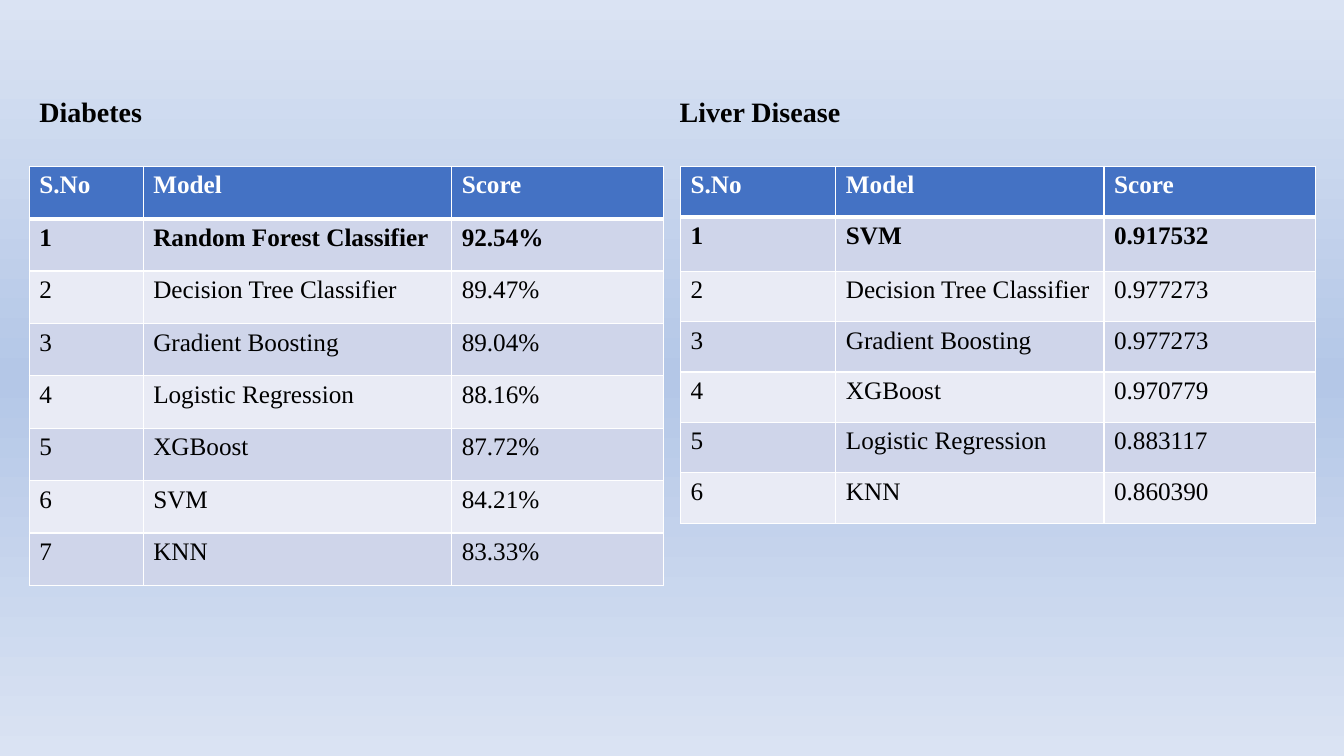
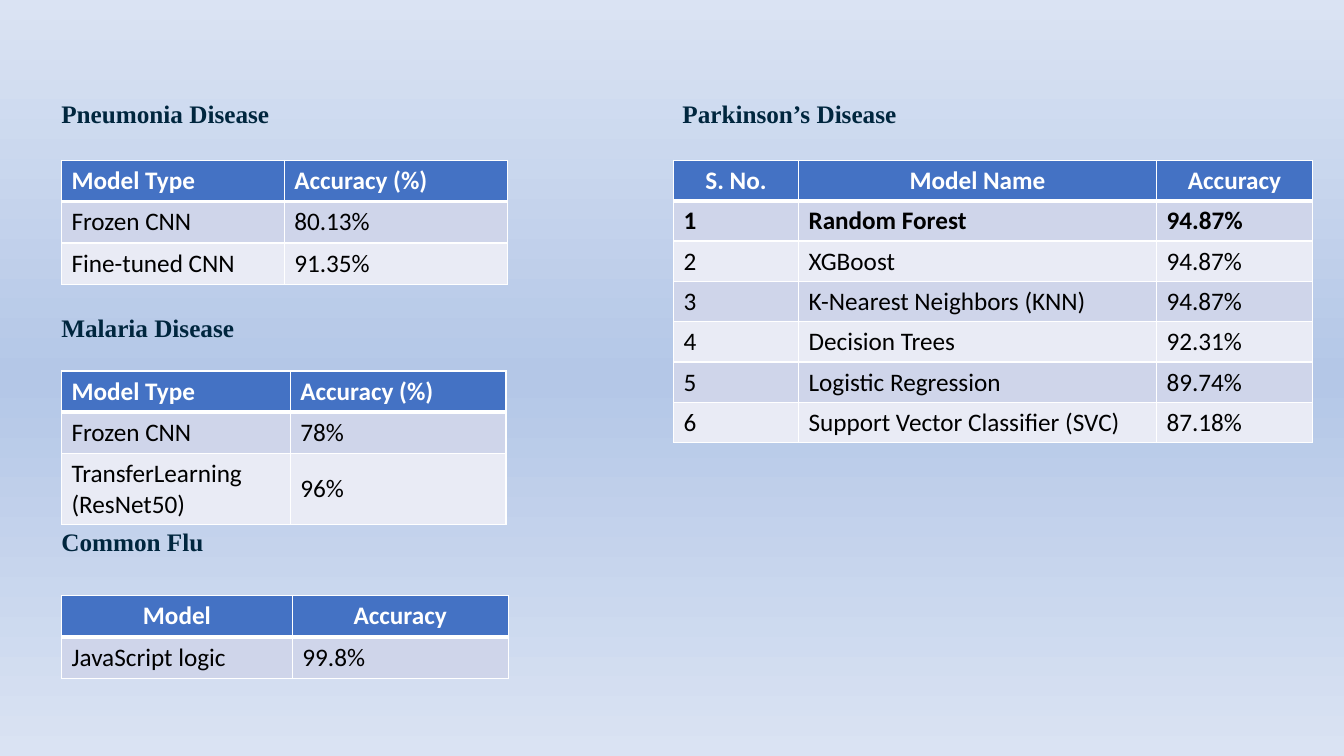
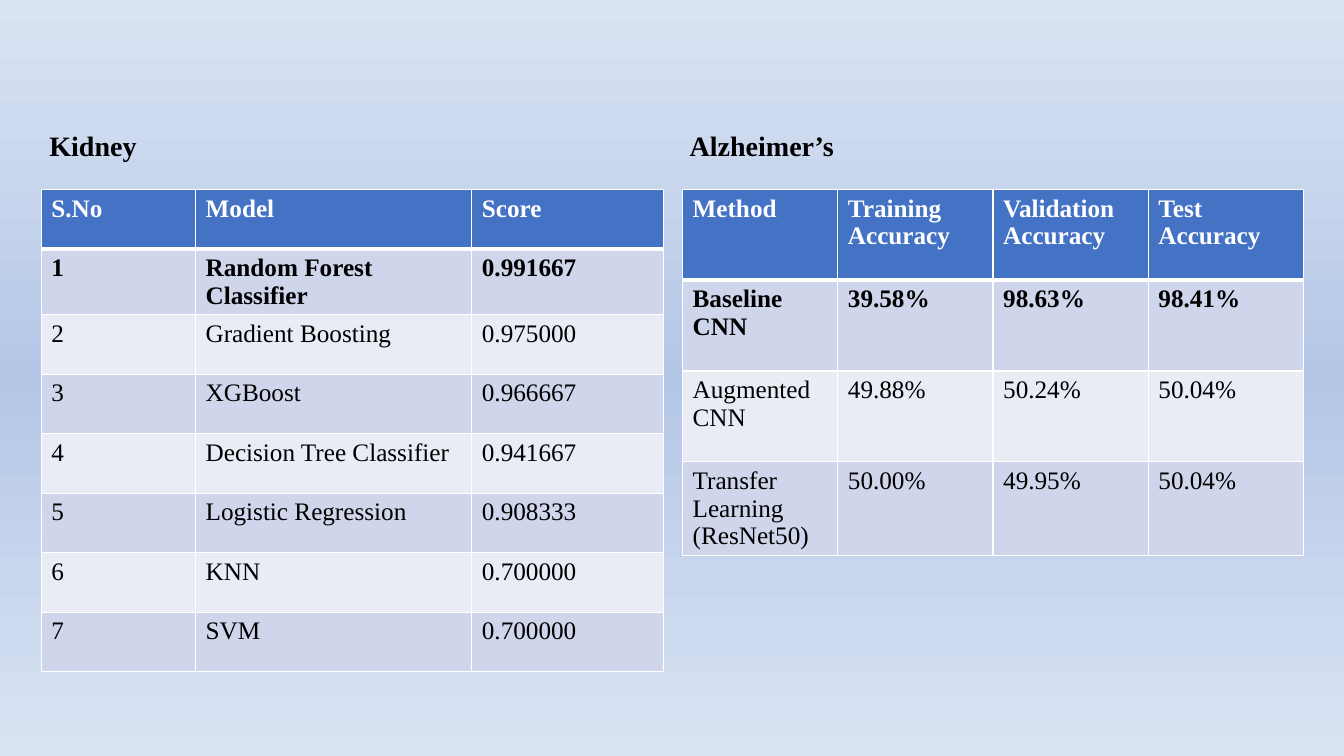
from copy import deepcopy

from lxml.etree import SubElement
from pptx import Presentation
from pptx.dml.color import RGBColor
from pptx.enum.text import MSO_ANCHOR as Anchor, MSO_AUTO_SIZE as AutoSize, PP_ALIGN as Align
from pptx.oxml.ns import qn
from pptx.util import Inches, Pt

WHITE = RGBColor(0xFF, 0xFF, 0xFF)
BLACK = RGBColor(0x00, 0x00, 0x00)
NAVY = RGBColor(0x00, 0x26, 0x3E)
HEADER_BLUE = RGBColor(0x44, 0x72, 0xC4)
BANDS = (RGBColor(0xE9, 0xEB, 0xF5), RGBColor(0xCF, 0xD5, 0xEA))
PALE_BLUE = RGBColor(0xDA, 0xE3, 0xF3)
MID_BLUE = RGBColor(0xB4, 0xC7, 0xE7)
SERIF = "Times New Roman"
SANS = "Calibri"
TITLE_ONLY, BLANK = 5, 6
THIN, THICK = 1, 3

DIABETES = [
    ("S.No", "Model", "Score"),
    ("1", "Random Forest Classifier", "92.54%"),
    ("2", "Decision Tree Classifier", "89.47%"),
    ("3", "Gradient Boosting", "89.04%"),
    ("4", "Logistic Regression", "88.16%"),
    ("5", "XGBoost", "87.72%"),
    ("6", "SVM", "84.21%"),
    ("7", "KNN", "83.33%"),
]
LIVER = [
    ("S.No", "Model", "Score"),
    ("1", "SVM", "0.917532"),
    ("2", "Decision Tree Classifier", "0.977273"),
    ("3", "Gradient Boosting", "0.977273"),
    ("4", "XGBoost", "0.970779"),
    ("5", "Logistic Regression", "0.883117"),
    ("6", "KNN", "0.860390"),
]
PNEUMONIA = [
    ("Model Type", "Accuracy (%)"),
    ("Frozen CNN", "80.13%"),
    ("Fine-tuned CNN", "91.35%"),
]
MALARIA = [
    ("Model Type", "Accuracy (%)"),
    ("Frozen CNN", "78%"),
    ("TransferLearning (ResNet50)", "96%"),
]
FLU = [("Model", "Accuracy"), ("JavaScript logic", "99.8%")]
PARKINSON = [
    ("S. No.", "Model Name", "Accuracy"),
    ("1", "Random Forest", "94.87%"),
    ("2", "XGBoost", "94.87%"),
    ("3", "K-Nearest Neighbors (KNN)", "94.87%"),
    ("4", "Decision Trees", "92.31%"),
    ("5", "Logistic Regression", "89.74%"),
    ("6", "Support Vector Classifier (SVC)", "87.18%"),
]
KIDNEY = [
    ("S.No", "Model", "Score"),
    ("1", "Random Forest Classifier", "0.991667"),
    ("2", "Gradient Boosting", "0.975000"),
    ("3", "XGBoost", "0.966667"),
    ("4", "Decision Tree Classifier", "0.941667"),
    ("5", "Logistic Regression", "0.908333"),
    ("6", "KNN", "0.700000"),
    ("7", "SVM", "0.700000"),
]
ALZHEIMER = [
    ("Method", "Training Accuracy", "Validation Accuracy", "Test Accuracy"),
    ("Baseline CNN", "39.58%", "98.63%", "98.41%"),
    ("Augmented CNN", "49.88%", "50.24%", "50.04%"),
    ("Transfer Learning (ResNet50)", "50.00%", "49.95%", "50.04%"),
]


def set_background(master):
    """Give every slide the vertical pale-mid-pale gradient."""
    fill = master.background.fill
    fill.gradient()
    fill.gradient_angle = 270
    stop_list = master.element.find(".//" + qn("a:gsLst"))
    stop_list.append(deepcopy(stop_list[0]))
    stops = zip(fill.gradient_stops, (0, 0.5, 1), (PALE_BLUE, MID_BLUE, PALE_BLUE))
    for stop, position, color in stops:
        stop.position = position
        stop.color.rgb = color


def style_font(font, name, size, color, bold):
    """Set the face, size, colour and weight of a font."""
    font.name = name
    font.size = Pt(size)
    font.color.rgb = color
    font.bold = bold


def set_borders(cell, top, bottom):
    """Draw white borders around a cell, with the given top and bottom widths."""
    properties = cell._tc.get_or_add_tcPr()
    for side, width in (("L", THIN), ("R", THIN), ("T", top), ("B", bottom)):
        line = SubElement(properties, qn("a:ln" + side), w=str(Pt(width)))
        fill = SubElement(line, qn("a:solidFill"))
        SubElement(fill, qn("a:srgbClr"), val=str(WHITE))


def add_score_table(slide, left, top, widths, heights, rows, font=SERIF,
                    anchor=Anchor.TOP, header_align=Align.LEFT, best_first=True):
    """Add a banded table whose first body row may be marked as the best."""
    frame = slide.shapes.add_table(len(rows), len(widths), Inches(left), Inches(top),
                                   Inches(sum(widths)), Inches(sum(heights)))
    table = frame.table
    for column, width in zip(table.columns, widths):
        column.width = Inches(width)
    for index, (row, height, texts) in enumerate(zip(table.rows, heights, rows)):
        row.height = Inches(height)
        header = index == 0
        for cell, text in zip(row.cells, texts):
            set_borders(cell, THICK if index == 1 else THIN, THICK if header else THIN)
            cell.fill.solid()
            cell.fill.fore_color.rgb = HEADER_BLUE if header else BANDS[index % 2]
            cell.vertical_anchor = anchor
            cell.text_frame.text = text
            paragraph = cell.text_frame.paragraphs[0]
            paragraph.alignment = header_align if header else Align.LEFT
            style_font(paragraph.runs[0].font, font, 18, WHITE if header else BLACK,
                       header or (best_first and index == 1))


def add_paired_title(slide, left, top, width, height, names):
    """Write two table names into the title, the second at a tab stop."""
    title = slide.shapes.title
    title.left, title.top = Inches(left), Inches(top)
    title.width, title.height = Inches(width), Inches(height)
    text_frame = title.text_frame
    text_frame.text = "\t".join(names)
    text_frame.auto_size = AutoSize.NONE
    text_frame.vertical_anchor = Anchor.MIDDLE
    paragraph = text_frame.paragraphs[0]
    paragraph.alignment = Align.LEFT
    paragraph.line_spacing = 0.9
    tabs = SubElement(paragraph._p.get_or_add_pPr(), qn("a:tabLst"))
    SubElement(tabs, qn("a:tab"), pos=str(Inches(6.35)), algn="l")
    for run in paragraph.runs:
        style_font(run.font, SERIF, 20, BLACK, True)


def add_heading(slide, left, top, text):
    """Add the navy name above a table."""
    box = slide.shapes.add_textbox(Inches(left), Inches(top), Inches(2.49), Inches(0.35))
    box.text_frame.word_wrap = True
    box.text_frame.text = text
    paragraph = box.text_frame.paragraphs[0]
    paragraph.line_spacing = 0.8
    style_font(paragraph.runs[0].font, SERIF, 18, NAVY, True)


def build_diabetes_liver(presentation):
    """Build the slide of diabetes and liver disease scores."""
    slide = presentation.slides.add_slide(presentation.slide_layouts[TITLE_ONLY])
    add_paired_title(slide, 0.29, 0.79, 12.76, 0.68, ("Diabetes", "Liver Disease"))
    add_score_table(slide, 0.29, 1.65, (1.13, 3.06, 2.1), [0.52] * 8, DIABETES)
    add_score_table(slide, 6.75, 1.65, (1.54, 2.66, 2.1), [0.5, 0.54] + [0.5] * 5, LIVER)


def build_four_diseases(presentation):
    """Build the slide of pneumonia, malaria, flu and Parkinson's scores."""
    slide = presentation.slides.add_slide(presentation.slide_layouts[BLANK])
    left_column = (
        ("Pneumonia Disease", 0.98, 1.59, (2.21, 2.21), PNEUMONIA, Align.LEFT),
        ("Malaria Disease", 3.11, 3.68, (2.27, 2.14), MALARIA, Align.LEFT),
        ("Common Flu", 5.23, 5.91, (2.29, 2.14), FLU, Align.CENTER),
    )
    for name, heading_top, table_top, widths, rows, header_align in left_column:
        add_heading(slide, 0.51, heading_top, name)
        add_score_table(slide, 0.61, table_top, widths, [0.41] * len(rows), rows, SANS,
                        Anchor.MIDDLE, header_align, best_first=False)
    add_heading(slide, 6.67, 0.98, "Parkinson’s Disease")
    add_score_table(slide, 6.68, 1.59, (1.24, 3.55, 1.55), [0.4] * 7, PARKINSON, SANS,
                    Anchor.MIDDLE, Align.CENTER)


def build_kidney_alzheimer(presentation):
    """Build the slide of kidney and Alzheimer's scores."""
    slide = presentation.slides.add_slide(presentation.slide_layouts[TITLE_ONLY])
    add_paired_title(slide, 0.39, 1.04, 12.56, 0.84, ("Kidney", "Alzheimer’s"))
    add_score_table(slide, 0.41, 1.88, (1.53, 2.74, 1.9), [0.59] * 8, KIDNEY)
    add_score_table(slide, 6.77, 1.88, [1.54] * 4, [0.9] * 4, ALZHEIMER)


def main():
    """Build and save the presentation."""
    presentation = Presentation()
    presentation.slide_width = Inches(13.33)
    presentation.slide_height = Inches(7.5)
    set_background(presentation.slide_master)
    build_diabetes_liver(presentation)
    build_four_diseases(presentation)
    build_kidney_alzheimer(presentation)
    presentation.save("out.pptx")


if __name__ == "__main__":
    main()
